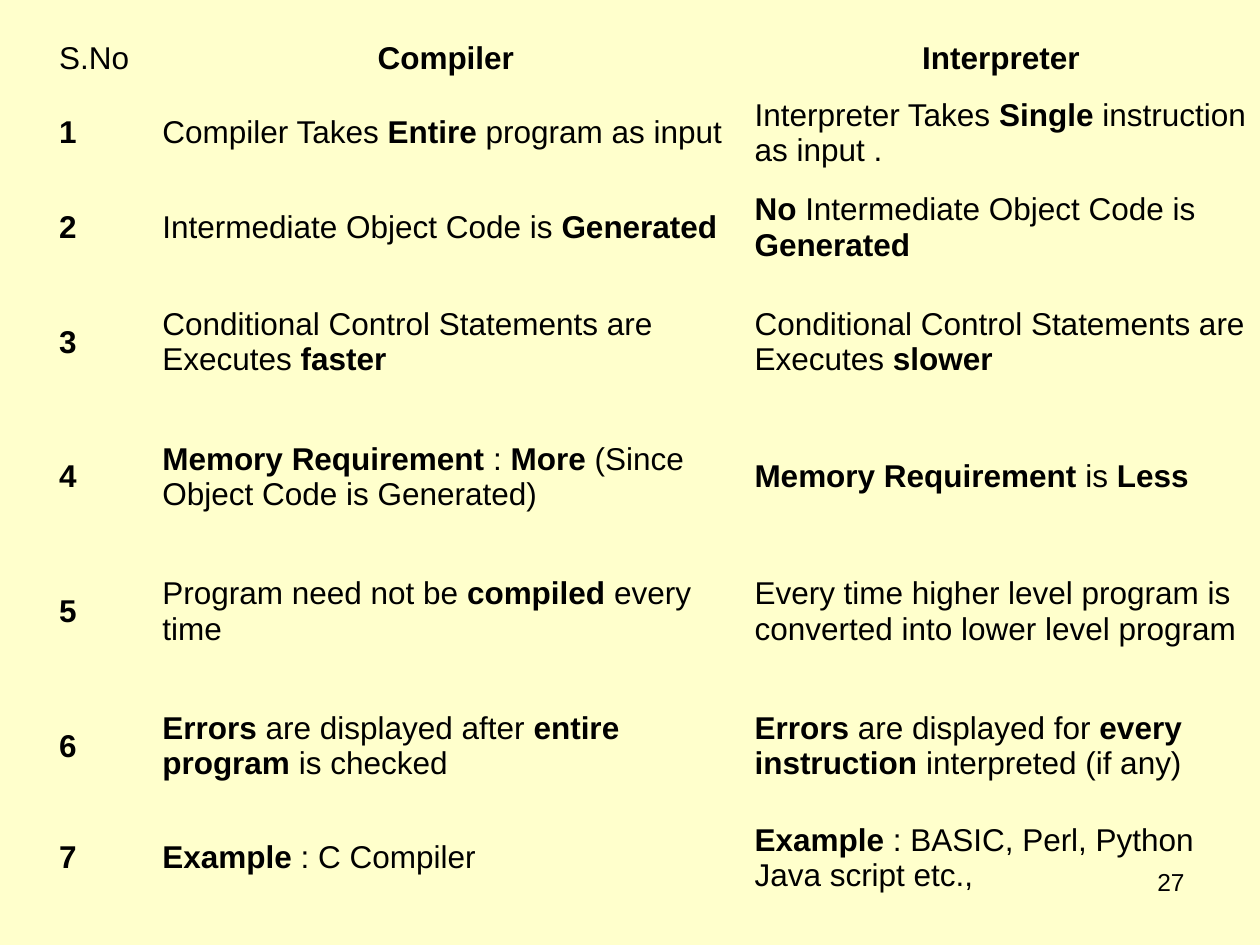
import pptx
import pptx.util
import pptx.dml.color
import pptx.enum.text
import pptx.oxml.ns

Pt = pptx.util.Pt
ALIGN = pptx.enum.text.PP_ALIGN
ANCHOR = pptx.enum.text.MSO_ANCHOR
FONT, INK, PAPER = "Arial", "000000", "FFFFCC"
NO_GRID_STYLE = "{2D5ABB26-0587-4C30-8999-92F81FD0307C}"

HEADINGS = ["S.No", "*Compiler*", "*Interpreter*"]
DIFFERENCES = [
    ("Compiler Takes *Entire* program as input",
     "Interpreter Takes *Single* instruction as input ."),
    ("Intermediate Object Code is *Generated*",
     "*No* Intermediate Object Code is *Generated*"),
    ("Conditional Control Statements are Executes *faster*",
     "Conditional Control Statements are Executes *slower*"),
    ("*Memory Requirement* : *More* (Since Object Code is Generated)",
     "*Memory Requirement* is *Less*"),
    ("Program need not be *compiled* every time",
     "Every time higher level program is converted into lower level program"),
    ("*Errors* are displayed after *entire program* is checked",
     "*Errors* are displayed for *every instruction* interpreted (if any)"),
    ("*Example* : C Compiler",
     "*Example* : BASIC, Perl, Python\nJava script etc.,"),
]
COLUMN_WIDTHS = [59, 338.4, 296]
ROW_HEIGHTS = [31, 54, 54, 77, 77, 77, 77, 50.4]
TABLE_LEFT, TABLE_TOP = 26.6, 18
PAGE_NUMBER = "27"


def color(value):
    return pptx.dml.color.RGBColor.from_string(value)


def write(frame, text, size, align):
    for index, line in enumerate(text.split("\n")):
        para = frame.add_paragraph() if index else frame.paragraphs[0]
        para.alignment = align
        for position, piece in enumerate(line.split("*")):
            if piece:
                span = para.add_run()
                span.text = piece
                span.font.name = FONT
                span.font.size = Pt(size)
                span.font.bold = position % 2 == 1
                span.font.color.rgb = color(INK)


def add_comparison(page):
    rows = [HEADINGS] + [
        (f"*{number}*", *pair) for number, pair in enumerate(DIFFERENCES, 1)
    ]
    holder = page.shapes.add_table(
        len(rows), len(HEADINGS), Pt(TABLE_LEFT), Pt(TABLE_TOP),
        Pt(sum(COLUMN_WIDTHS)), Pt(sum(ROW_HEIGHTS)))
    for style in holder.element.iter(pptx.oxml.ns.qn("a:tableStyleId")):
        style.text = NO_GRID_STYLE
    table = holder.table
    table.first_row = table.horz_banding = False
    for column, width in zip(table.columns, COLUMN_WIDTHS):
        column.width = Pt(width)
    for row, height in zip(table.rows, ROW_HEIGHTS):
        row.height = Pt(height)
    for row_index, texts in enumerate(rows):
        for column_index, text in enumerate(texts):
            cell = table.cell(row_index, column_index)
            cell.fill.background()
            cell.vertical_anchor = ANCHOR.MIDDLE
            centered = row_index == 0 and column_index > 0
            write(cell.text_frame, text, 18,
                  ALIGN.CENTER if centered else ALIGN.LEFT)


def main():
    deck = pptx.Presentation()
    deck.slide_width, deck.slide_height = Pt(720), Pt(540)
    page = deck.slides.add_slide(deck.slide_layouts[6])
    page.background.fill.solid()
    page.background.fill.fore_color.rgb = color(PAPER)
    add_comparison(page)
    box = page.shapes.add_textbox(Pt(516), Pt(492), Pt(168), Pt(37.5))
    box.text_frame.word_wrap = True
    write(box.text_frame, PAGE_NUMBER, 14, ALIGN.RIGHT)
    deck.save("out.pptx")


if __name__ == "__main__":
    main()
